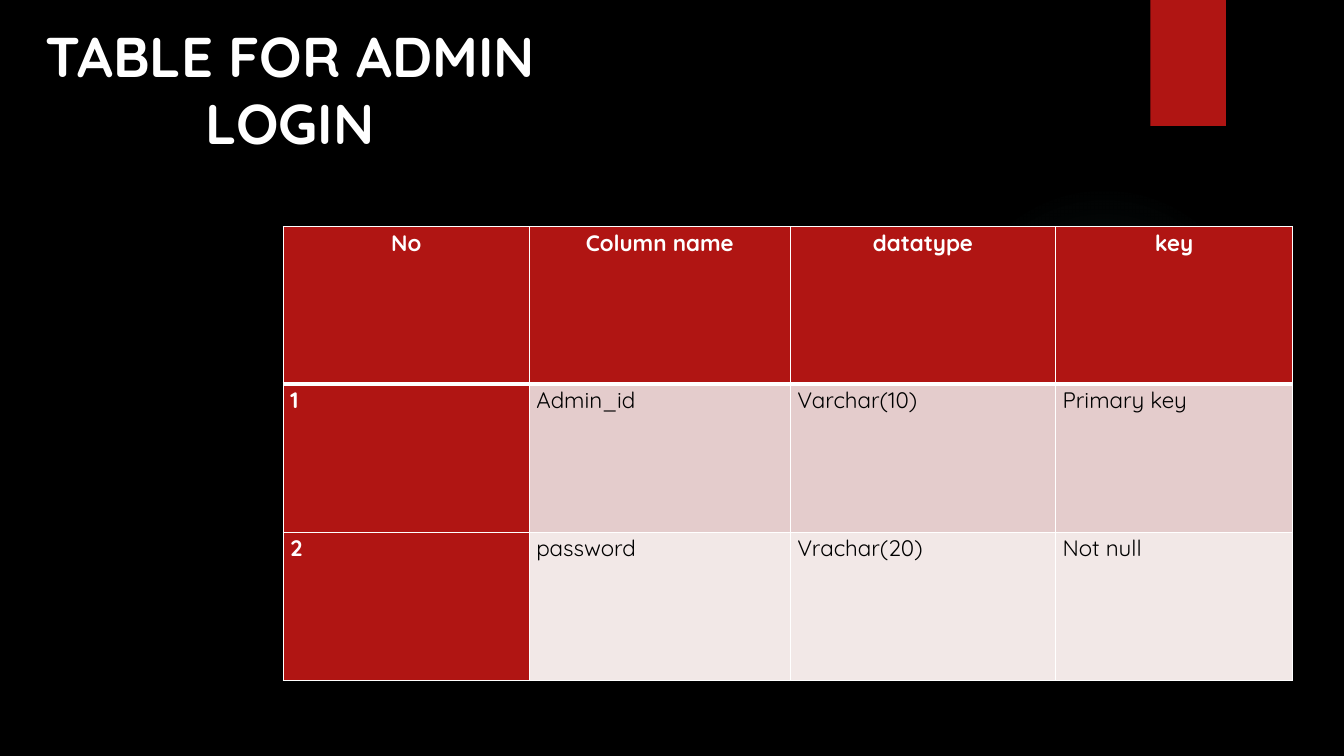
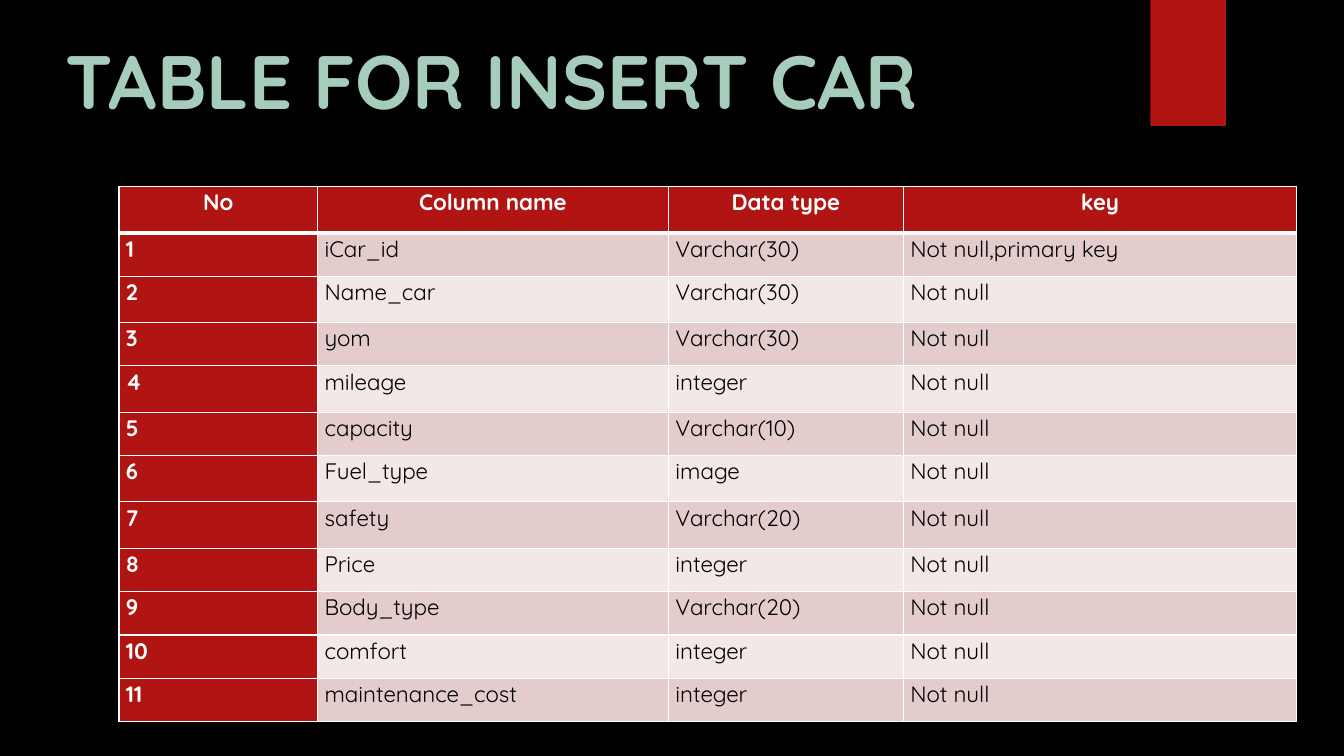
from lxml import etree
from pptx import Presentation
from pptx.dml.color import RGBColor
from pptx.enum.shapes import MSO_SHAPE as Shape
from pptx.enum.text import MSO_ANCHOR as Anchor, MSO_AUTO_SIZE as AutoSize, PP_ALIGN as Align
from pptx.oxml import parse_xml
from pptx.oxml.ns import nsdecls, qn
from pptx.util import Inches, Pt

COLORS = {
    "background": "000000",
    "accent": "B01513",
    "glow": "50B9C1",
    "white": "FFFFFF",
    "mint": "A6CDBC",
    "text": "000000",
    "odd_row": "E4CCCC",
    "even_row": "F2E8E7",
}
FONT = "Quicksand"
GLOW_STOPS = [(0, 7), (36, 6), (69, 0)]  # position and opacity, in percent

ADMIN_ROWS = [
    ("No", "Column name", "datatype", "key"),
    ("1", "Admin_id", "Varchar(10)", "Primary key"),
    ("2", "password", "Vrachar(20)", "Not null"),
]
CAR_ROWS = [
    ("No", "Column name", "Data type", "key"),
    ("1", "iCar_id", "Varchar(30)", "Not null,primary key"),
    ("2", "Name_car", "Varchar(30)", "Not null"),
    ("3", "yom", "Varchar(30)", "Not null"),
    ("4", "mileage", "integer", "Not null"),
    ("5", "capacity", "Varchar(10)", "Not null"),
    ("6", "Fuel_type", "image", "Not null"),
    ("7", "safety", "Varchar(20)", "Not null"),
    ("8", "Price", "integer", "Not null"),
    ("9", "Body_type", "Varchar(20)", "Not null"),
    ("10", "comfort", "integer", "Not null"),
    ("11", "maintenance_cost", "integer", "Not null"),
]


def rgb(name):
    return RGBColor.from_string(COLORS[name])


class Deck:
    def __init__(self):
        self.deck = Presentation()
        self.deck.slide_width, self.deck.slide_height = Inches(13.33), Inches(7.5)
        fill = self.deck.slide_master.background.fill
        fill.solid()
        fill.fore_color.rgb = rgb("background")
        self.page = None

    def add_page(self):
        """Start a slide with the shared glow and red band."""
        self.page = self.deck.slides.add_slide(self.deck.slide_layouts[5])
        glow = self.shape(Shape.OVAL, 9.41, 1.83, 3.08, 3.08)
        self.radial_fill(glow)
        band = self.shape(Shape.RECTANGLE, 11.41, 0, 0.75, 1.25)
        band.fill.solid()
        band.fill.fore_color.rgb = rgb("accent")

    def shape(self, kind, *bounds):
        shape = self.page.shapes.add_shape(kind, *map(Inches, bounds))
        shape.shadow.inherit = False
        shape.line.fill.background()
        return shape

    def radial_fill(self, shape):
        """Fill with the glow colour, fading from the centre outwards."""
        stops = "".join(
            f'<a:gs pos="{position * 1000}"><a:srgbClr val="{COLORS["glow"]}">'
            f'<a:alpha val="{opacity * 1000}"/></a:srgbClr></a:gs>'
            for position, opacity in GLOW_STOPS)
        gradient = parse_xml(
            f'<a:gradFill {nsdecls("a")}><a:gsLst>{stops}</a:gsLst><a:path path="circle">'
            '<a:fillToRect l="50000" t="50000" r="50000" b="50000"/></a:path></a:gradFill>')
        shape.element.spPr.find(qn("a:prstGeom")).addnext(gradient)

    def title(self, text, left, top, width, height, size, color):
        title = self.page.shapes.title
        title.left, title.top = Inches(left), Inches(top)
        title.width, title.height = Inches(width), Inches(height)
        frame = title.text_frame
        frame.text = text
        frame.word_wrap = True
        frame.auto_size = AutoSize.NONE
        frame.vertical_anchor = Anchor.TOP
        self.format(frame.paragraphs[0], size, color, True, Align.CENTER)

    def format(self, para, size, color, bold, align):
        para.alignment = align
        font = para.font
        font.name, font.size, font.bold = FONT, Pt(size), bold
        font.color.rgb = rgb(color)

    def table(self, rows, left, top, widths, heights):
        table = self.page.shapes.add_table(
            len(rows), len(widths), Inches(left), Inches(top),
            Inches(sum(widths)), Inches(sum(heights))).table
        table.horz_banding = False
        for column, width in zip(table.columns, widths):
            column.width = Inches(width)
        for row, height in zip(table.rows, heights):
            row.height = Inches(height)
        for r, texts in enumerate(rows):
            for c, text in enumerate(texts):
                self.cell(table.cell(r, c), text, r, c)

    def cell(self, cell, text, row, column):
        is_head = row == 0 or column == 0
        cell.margin_left = cell.margin_right = Inches(0.07)
        cell.margin_top = cell.margin_bottom = 0
        cell.text = text
        para = cell.text_frame.paragraphs[0]
        para.line_spacing = 1.07
        self.format(para, 16, "white" if is_head else "text", is_head,
                    Align.CENTER if row == 0 else Align.LEFT)
        self.borders(cell, top=3 if row == 1 else 1, bottom=3 if row == 0 else 1)
        cell.fill.solid()
        body = "odd_row" if row % 2 else "even_row"
        cell.fill.fore_color.rgb = rgb("accent" if is_head else body)

    def borders(self, cell, top, bottom):
        properties = cell._tc.get_or_add_tcPr()
        for side, weight in (("L", 1), ("R", 1), ("T", top), ("B", bottom)):
            line = etree.SubElement(properties, qn(f"a:ln{side}"), w=str(Pt(weight)))
            fill = etree.SubElement(line, qn("a:solidFill"))
            etree.SubElement(fill, qn("a:srgbClr"), val=COLORS["white"])


def main():
    deck = Deck()

    deck.add_page()
    deck.title("TABLE FOR ADMIN LOGIN", 0.28, 0.16, 5.19, 1.45, 40, "white")
    deck.table(ADMIN_ROWS, 2.81, 2.25, [2.44, 2.59, 2.63, 2.35], [1.56, 1.47, 1.47])

    deck.add_page()
    deck.title("TABLE FOR INSERT CAR", 0.28, 0.29, 9.19, 1.01, 54, "mint")
    tall, short = 0.46, 0.43
    heights = [tall, short] * 3 + [tall] * 2 + [short] * 4
    deck.table(CAR_ROWS, 1.18, 1.85, [1.97, 3.48, 2.33, 3.9], heights)

    deck.deck.save("out.pptx")


if __name__ == "__main__":
    main()
